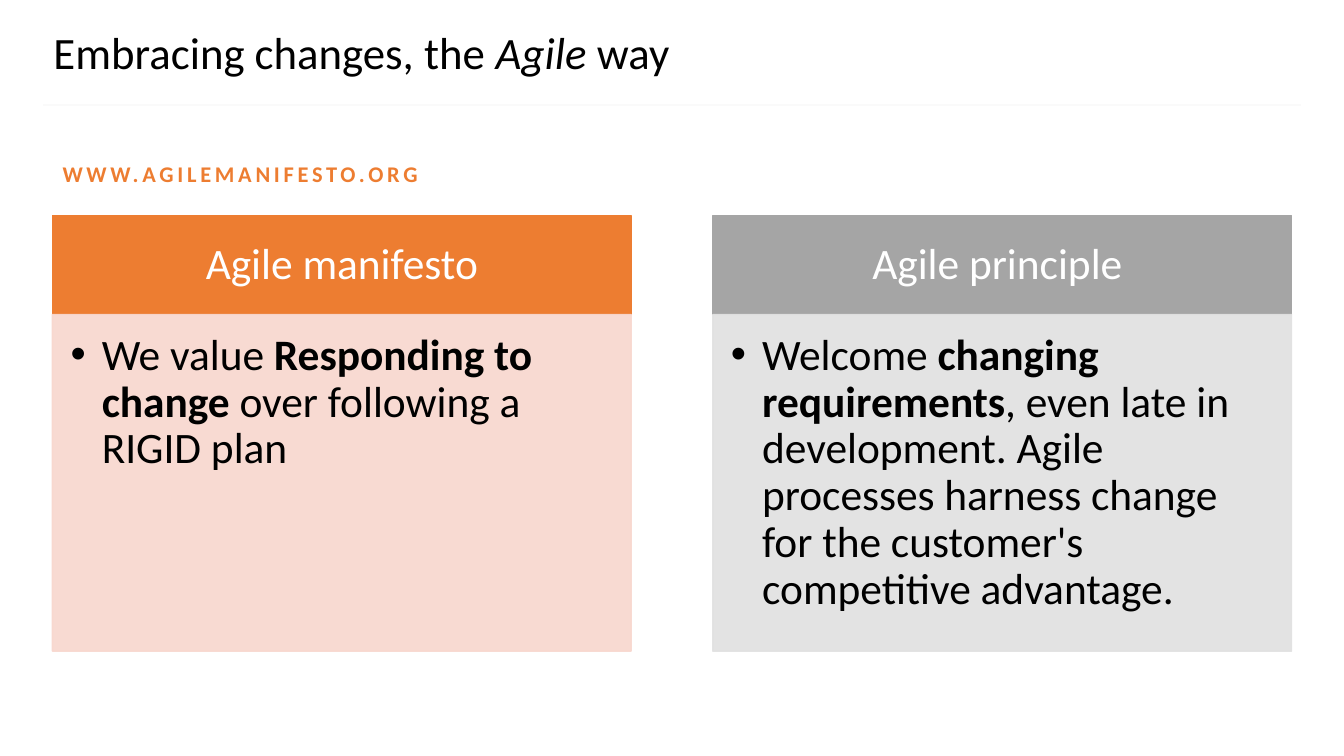
from dataclasses import dataclass

from lxml import etree
from pptx import Presentation
from pptx import util as u
from pptx.dml.color import RGBColor
from pptx.enum import shapes, text
from pptx.oxml.ns import qn


@dataclass(frozen=True)
class Theme:
    """Colours, font and type sizes of the slide."""
    font: str = "Calibri"
    title_size: float = 32
    card_size: float = 31
    link_size: float = 16
    black: str = "000000"
    white: str = "FFFFFF"
    rule: str = "FAFAFA"
    orange: str = "ED7D31"
    pale_orange: str = "F8D7CE"
    grey: str = "A5A5A5"
    pale_grey: str = "E1E1E1"


THEME = Theme()
CARD_LEFT, CARD_STEP, CARD_WIDTH = 0.52, 6.55, 5.74
HEADER_TOP, HEADER_HEIGHT, BODY_HEIGHT = 2.14, 0.98, 3.34
HEADER_INSETS = (0.24, 0.14, 0.24, 0.14)
BODY_INSETS = (0.18, 0.18, 0.24, 0.27)
CARDS = [
    (THEME.orange, THEME.pale_orange, "Agile manifesto",
     [("We value ", {}), ("Responding to change", {"bold": True}),
      (" over\u00a0following a RIGID plan", {})]),
    (THEME.grey, THEME.pale_grey, "Agile principle\u00a0",
     [("Welcome ", {}), ("changing requirements", {"bold": True}),
      (", even late in development. Agile processes harness change "
       "for the customer's competitive advantage.", {})]),
]


def set_bullet(paragraph, indent=0, character=None):
    """Give the paragraph a hanging bullet, or none."""
    properties = paragraph._p.get_or_add_pPr()
    properties.set("marL", str(u.Inches(indent)))
    properties.set("indent", str(-u.Inches(indent)))
    if character:
        etree.SubElement(properties, qn("a:buFont")).set("typeface", "Arial")
        etree.SubElement(properties, qn("a:buChar")).set("char", character)
    else:
        etree.SubElement(properties, qn("a:buNone"))


def write_text(shape, runs, *, size, color=THEME.black, insets=(0, 0, 0, 0),
               anchor=text.MSO_ANCHOR.TOP, align=text.PP_ALIGN.LEFT, wrap=True,
               before=0, tracking=0, indent=0, bullet=None):
    """Fill a shape with one paragraph of (words, font settings) runs."""
    frame = shape.text_frame
    frame.word_wrap = wrap
    frame.auto_size = text.MSO_AUTO_SIZE.NONE
    frame.vertical_anchor = anchor
    for side, inset in zip(("left", "top", "right", "bottom"), insets):
        setattr(frame, f"margin_{side}", u.Inches(inset))
    paragraph = frame.paragraphs[0]
    paragraph.alignment = align
    paragraph.line_spacing = 0.9
    paragraph.space_before = u.Pt(before)
    set_bullet(paragraph, indent, bullet)
    for words, settings in runs:
        run = paragraph.add_run()
        run.text = words
        run.font.name = THEME.font
        run.font.size = u.Pt(size)
        run.font.color.rgb = RGBColor.from_string(color)
        for name, value in settings.items():
            setattr(run.font, name, value)
        if tracking:
            run.font._element.set("spc", str(round(tracking * 100)))


def place(shape, left, top, width, height):
    """Move and size a placeholder, in inches."""
    shape.left, shape.top = u.Inches(left), u.Inches(top)
    shape.width, shape.height = u.Inches(width), u.Inches(height)


def add_rule(slide, left, right, top):
    """Draw the thin line below the title."""
    rule = slide.shapes.add_connector(
        shapes.MSO_CONNECTOR.STRAIGHT, u.Inches(left), u.Inches(top),
        u.Inches(right), u.Inches(top))
    rule.line.color.rgb = RGBColor.from_string(THEME.rule)
    rule.line.width = u.Pt(1.5)
    etree.SubElement(rule._element.spPr, qn("a:effectLst"))


def add_panel(slide, left, top, height, color, opacity=100):
    """Add a card-wide rectangle with fill and outline of one colour."""
    panel = slide.shapes.add_shape(
        shapes.MSO_SHAPE.RECTANGLE, u.Inches(left), u.Inches(top),
        u.Inches(CARD_WIDTH), u.Inches(height))
    panel.shadow.inherit = False
    panel.fill.solid()
    panel.line.width = u.Pt(1)
    for paint in (panel.fill.fore_color, panel.line.color):
        paint.rgb = RGBColor.from_string(color)
    if opacity < 100:
        for paint in panel._element.spPr.iter(qn("a:srgbClr")):
            etree.SubElement(paint, qn("a:alpha")).set("val", str(opacity * 1000))
    return panel


def add_card(slide, left, color, pale_color, heading, runs):
    """Add a headed card with one bullet point."""
    header = add_panel(slide, left, HEADER_TOP, HEADER_HEIGHT, color)
    write_text(header, [(heading, {})], size=THEME.card_size, color=THEME.white,
               insets=HEADER_INSETS, anchor=text.MSO_ANCHOR.MIDDLE,
               align=text.PP_ALIGN.CENTER)
    body = add_panel(slide, left, HEADER_TOP + HEADER_HEIGHT, BODY_HEIGHT,
                     pale_color, opacity=90)
    write_text(body, runs, size=THEME.card_size, insets=BODY_INSETS,
               indent=0.31, bullet="\u2022")


def main():
    """Build and save the slide."""
    presentation = Presentation()
    presentation.slide_width = u.Inches(13.33)
    presentation.slide_height = u.Inches(7.5)
    slide = presentation.slides.add_slide(presentation.slide_layouts[1])
    title, link = slide.shapes.title, slide.placeholders[1]
    add_rule(slide, 0.43, 12.9, 1.04)
    place(title, 0.53, 0.33, 12.29, 0.44)
    write_text(title, [("Embracing changes, the ", {}), ("Agile", {"italic": True}),
                       (" way", {})],
               size=THEME.title_size, insets=(0, 0.05, 0, 0.05),
               anchor=text.MSO_ANCHOR.MIDDLE, wrap=False)
    place(link, CARD_LEFT, 1.57, 12.29, 0.5)
    write_text(link, [("WWW.AGILEMANIFESTO.ORG", {"bold": True})],
               size=THEME.link_size, color=THEME.orange,
               insets=(0.1, 0.05, 0.1, 0), wrap=False, before=3.8, tracking=2.7)
    for column, card in enumerate(CARDS):
        add_card(slide, CARD_LEFT + column * CARD_STEP, *card)
    presentation.save("out.pptx")


if __name__ == "__main__":
    main()
